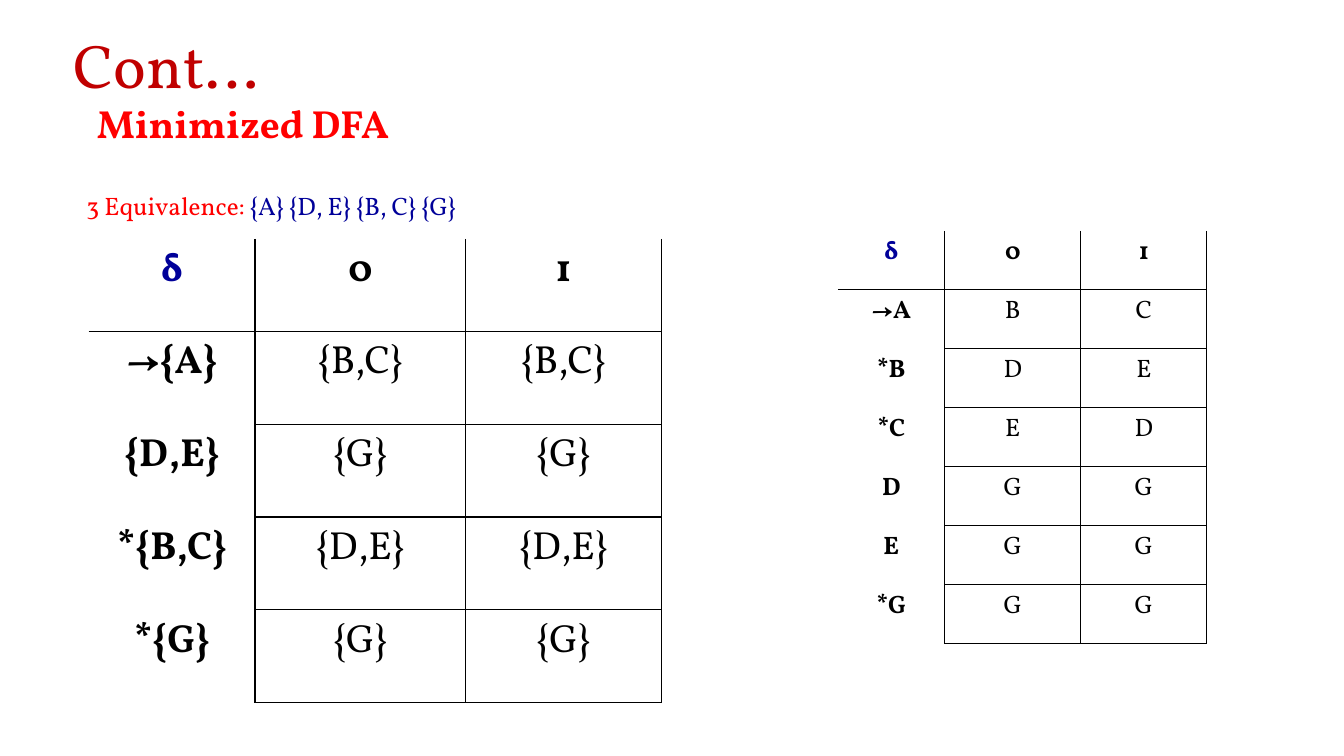
from dataclasses import dataclass

from lxml import etree
from pptx import Presentation
from pptx.dml.color import RGBColor
from pptx.enum.text import MSO_ANCHOR, MSO_AUTO_SIZE, PP_ALIGN
from pptx.oxml.ns import qn
from pptx.slide import Slide
from pptx.table import _Cell
from pptx.text.text import TextFrame, _Paragraph
from pptx.util import Inches, Pt

LEFT, CENTER = PP_ALIGN.LEFT, PP_ALIGN.CENTER
MIDDLE = MSO_ANCHOR.MIDDLE
NO_AUTOFIT = MSO_AUTO_SIZE.NONE

FONT = "Vollkorn"
BLACK = RGBColor(0x00, 0x00, 0x00)
DARK_RED = RGBColor(0xC0, 0x00, 0x00)
RED = RGBColor(0xFF, 0x00, 0x00)
NAVY = RGBColor(0x00, 0x00, 0x99)


@dataclass(frozen=True)
class Span:
    text: str
    size: int
    color: RGBColor
    bold: bool = False


@dataclass(frozen=True)
class Label:
    left: float
    top: float
    width: float
    height: float
    spans: tuple[Span, ...]
    align: PP_ALIGN = LEFT
    line_spacing: float = 1.0


@dataclass(frozen=True)
class TransitionTable:
    left: float
    top: float
    column_widths: tuple[float, ...]
    row_height: float
    size: int
    rows: tuple[tuple[str, ...], ...]


HEADER = ("δ", "0", "1")

TITLE = Label(0.63, -0.04, 11.5, 1.45, (Span("Cont…", 44, DARK_RED),), line_spacing=0.9)

LABELS = (
    Label(0.76, 0.94, 3.3, 0.57, (Span("Minimized DFA", 28, RED, True),), CENTER),
    Label(0.76, 1.69, 6.66, 0.51,
          (Span("3 Equivalence: ", 18, RED), Span("{A} {D, E} {B, C} {G}", 18, NAVY)),
          line_spacing=1.5),
)

TABLES = (
    TransitionTable(0.88, 2.37, (1.65, 2.09, 1.94), 0.92, 28, (
        HEADER,
        ("→{A}", "{B,C}", "{B,C}"),
        ("{D,E}", "{G}", "{G}"),
        ("*{B,C}", "{D,E}", "{D,E}"),
        ("*{G}", "{G}", "{G}"),
    )),
    TransitionTable(8.31, 2.29, (1.06, 1.35, 1.25), 0.585, 18, (
        HEADER,
        ("→A", "B", "C"),
        ("*B", "D", "E"),
        ("*C", "E", "D"),
        ("D", "G", "G"),
        ("E", "G", "G"),
        ("*G", "G", "G"),
    )),
)


def add_span(para: _Paragraph, span: Span) -> None:
    run = para.add_run()
    run.text = span.text
    formats = {"name": FONT, "size": Pt(span.size), "bold": span.bold}
    for name, value in formats.items():
        setattr(run.font, name, value)
    run.font.color.rgb = span.color


def write_label(frame: TextFrame, label: Label) -> None:
    frame.word_wrap = True
    frame.auto_size = NO_AUTOFIT
    para = frame.paragraphs[0]
    para.alignment = label.align
    para.line_spacing = label.line_spacing
    for span in label.spans:
        add_span(para, span)


def add_title(page: Slide, label: Label) -> None:
    title = page.shapes.title
    for side in ("left", "top", "width", "height"):
        setattr(title, side, Inches(getattr(label, side)))
    title.text_frame.vertical_anchor = MIDDLE
    write_label(title.text_frame, label)


def add_label(page: Slide, label: Label) -> None:
    box = page.shapes.add_textbox(
        Inches(label.left), Inches(label.top), Inches(label.width), Inches(label.height))
    write_label(box.text_frame, label)


def set_borders(cell: _Cell, row: int, column: int) -> None:
    """Rule off the header and the state column, and leave the outer top and left open."""
    inner = column > 0
    edges = {
        "a:lnL": inner,
        "a:lnR": True,
        "a:lnT": row == 1 or (row > 1 and inner),
        "a:lnB": row == 0 or inner,
    }
    properties = cell._tc.get_or_add_tcPr()
    for index, (tag, visible) in enumerate(edges.items()):
        line = etree.Element(qn(tag), w=str(Pt(1)))
        if visible:
            fill = etree.SubElement(line, qn("a:solidFill"))
            etree.SubElement(fill, qn("a:srgbClr"), val=str(BLACK))
        else:
            etree.SubElement(line, qn("a:noFill"))
        properties.insert(index, line)


def add_transition_table(page: Slide, layout: TransitionTable) -> None:
    row_count, column_count = len(layout.rows), len(layout.column_widths)
    table = page.shapes.add_table(
        row_count, column_count, Inches(layout.left), Inches(layout.top),
        Inches(sum(layout.column_widths)), Inches(layout.row_height * row_count)).table
    table.first_row = table.horz_banding = False
    for column, width in zip(table.columns, layout.column_widths):
        column.width = Inches(width)
    for row, texts in enumerate(layout.rows):
        table.rows[row].height = Inches(layout.row_height)
        for column, text in enumerate(texts):
            cell = table.cell(row, column)
            cell.fill.background()
            set_borders(cell, row, column)
            para = cell.text_frame.paragraphs[0]
            para.alignment = CENTER
            color = NAVY if row == column == 0 else BLACK
            add_span(para, Span(text, layout.size, color, row == 0 or column == 0))


def main() -> None:
    deck = Presentation()
    deck.slide_width, deck.slide_height = Inches(13.33), Inches(7.5)
    title_only = deck.slide_layouts[5]
    page = deck.slides.add_slide(title_only)
    add_title(page, TITLE)
    for label in LABELS:
        add_label(page, label)
    for layout in TABLES:
        add_transition_table(page, layout)
    deck.save("out.pptx")


if __name__ == "__main__":
    main()
